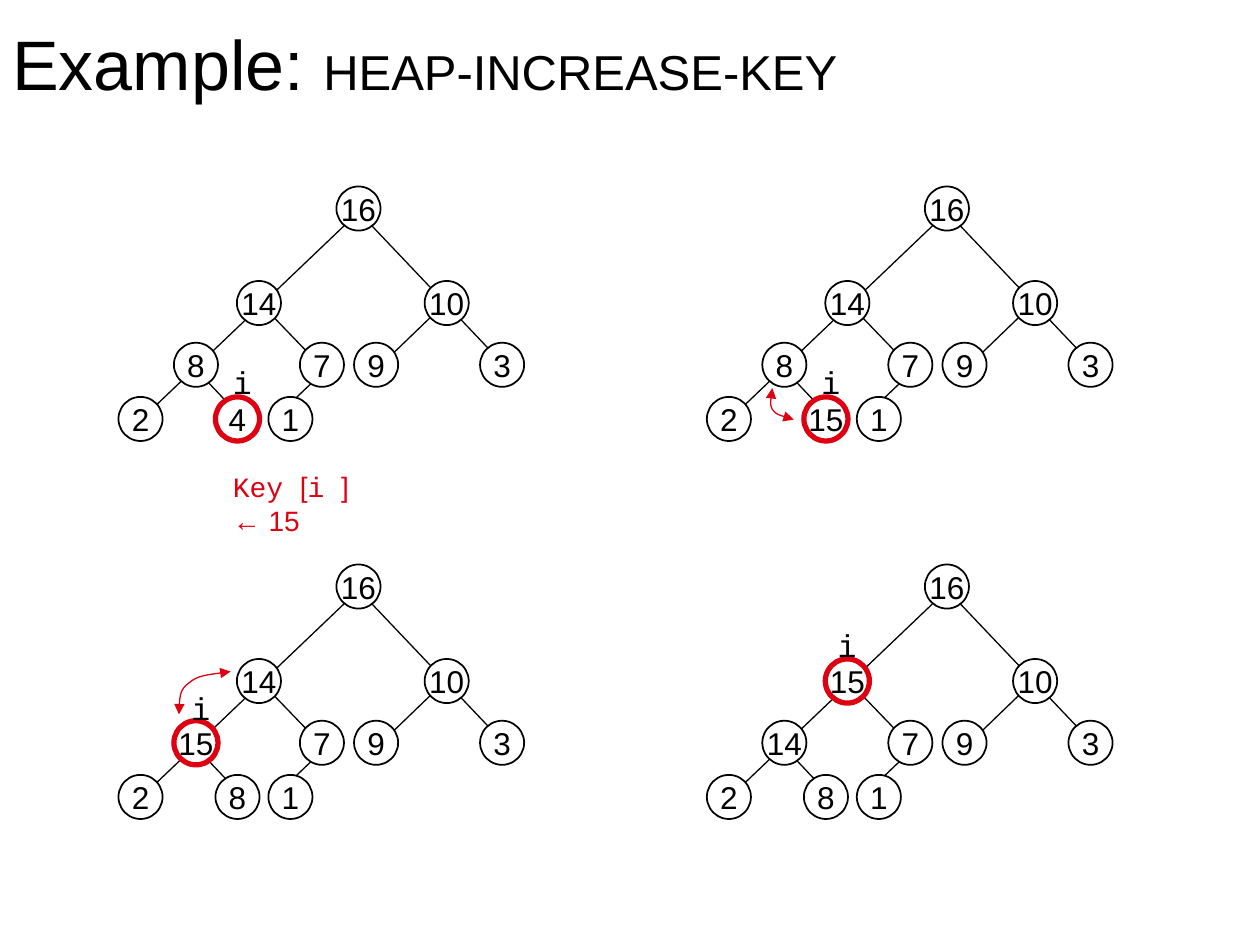
from lxml import etree
from pptx import Presentation
from pptx import util as u
from pptx.dml.color import RGBColor
from pptx.enum import shapes, text
from pptx.oxml.ns import qn

BLACK = RGBColor(0, 0, 0)
WHITE = RGBColor(255, 255, 255)
RED = RGBColor(0xDD, 0x01, 0x11)
SANS, MONO = "Arial", "Courier New"
COLS, ROWS = 100, 75
SIZE = 3.5

SPOTS = [(26.7, 14.8), (18.8, 22.3), (33.7, 22.3), (13.8, 27.2), (23.8, 27.2),
         (28.1, 27.2), (38.1, 27.2), (9.4, 31.5), (17.1, 31.5), (21.3, 31.5)]
EDGES = [(21.8, 33.2, 26.3, 28.9), (29.9, 29.3, 35.5, 23.9),
         (19.7, 33.7, 14.4, 28.1), (25.7, 29.3, 20.3, 23.7),
         (40.7, 29.7, 27.4, 15.7), (11.3, 33.2, 28.8, 16.5)]


class Deck:
    """Draws styled elements on one slide, measured in grid columns and rows."""

    def __init__(self):
        self.prs = Presentation()
        self.prs.slide_width, self.prs.slide_height = u.Inches(10), u.Inches(7.5)
        self.items = self.prs.slides.add_slide(self.prs.slide_layouts[6]).shapes
        self.dx = self.dy = 0

    def shift(self, dx, dy):
        self.dx, self.dy = dx, dy

    def spot(self, x, y):
        return self.span(x + self.dx, y + self.dy)

    def span(self, w, h):
        return (round(self.prs.slide_width * w / COLS),
                round(self.prs.slide_height * h / ROWS))

    def edge(self, x1, y1, x2, y2):
        line = self.items.add_connector(
            shapes.MSO_CONNECTOR.STRAIGHT, *self.spot(x1, y1), *self.spot(x2, y2))
        line.line.color.rgb, line.line.width = BLACK, u.Pt(0.75)
        etree.SubElement(line._element.spPr, qn("a:effectLst"))

    def node(self, x, y, key, hot):
        ring = self.items.add_shape(
            shapes.MSO_SHAPE.OVAL, *self.spot(x, y), *self.span(SIZE, SIZE))
        ring.shadow.inherit = False
        ring.fill.solid()
        ring.fill.fore_color.rgb = WHITE
        ring.line.color.rgb = RED if hot else BLACK
        ring.line.width = u.Pt(3 if hot else 1)
        frame = ring.text_frame
        frame.word_wrap = False
        frame.vertical_anchor = text.MSO_ANCHOR.MIDDLE
        frame.margin_left = frame.margin_right = 0
        para = frame.paragraphs[0]
        para.text = str(key)
        para.alignment = text.PP_ALIGN.CENTER
        para.font.size, para.font.name = u.Pt(18), SANS
        para.font.color.rgb = BLACK

    def label(self, x, y, w, h, parts, color=BLACK, wrap=True,
              anchor=text.MSO_ANCHOR.TOP):
        frame = self.items.add_textbox(*self.spot(x, y), *self.span(w, h)).text_frame
        frame.word_wrap, frame.vertical_anchor = wrap, anchor
        para = frame.paragraphs[0]
        para.font.color.rgb = color
        for words, face, size in parts:
            run = para.add_run()
            run.text = words
            run.font.name, run.font.size = face, u.Pt(size)
            run.font.color.rgb = color

    def swap(self, points):
        start, *rest = [self.spot(x, y) for x, y in points]
        form = self.items.build_freeform(*start)
        form.add_line_segments(rest, close=False)
        arc = form.convert_to_shape()
        arc.shadow.inherit = False
        arc.fill.background()
        arc.line.color.rgb, arc.line.width = RED, u.Pt(0.75)
        steps = list(arc._element.iter(qn("a:lnTo")))
        track = steps[0].getparent()
        for i in range(0, len(steps), 3):
            curve = etree.SubElement(track, qn("a:cubicBezTo"))
            for step in steps[i:i + 3]:
                curve.append(step[0])
                track.remove(step)
        ln = arc.line._get_or_add_ln()
        for end in ("a:headEnd", "a:tailEnd"):
            etree.SubElement(ln, qn(end), type="triangle")

    def heap(self, keys, hot, mark):
        for ends in EDGES:
            self.edge(*ends)
        for i, (place, key) in enumerate(zip(SPOTS, keys)):
            self.node(*place, key, i == hot)
        self.label(*mark, 2.6, 4, [("i", MONO, 18)], wrap=False)


def main():
    deck = Deck()
    deck.label(0, 0, 90, 9.9, [("Example: ", SANS, 40), ("HEAP-INCREASE-KEY", SANS, 28)],
               anchor=text.MSO_ANCHOR.MIDDLE)
    low = [(14.2, 26.7), (14.2, 25.7), (14.3, 24.7), (15, 24.2),
           (15.7, 23.6), (17, 23.5), (18.3, 23.3)]
    high = [(14.6, 30.8), (14.5, 31.5), (14.4, 32.1), (14.6, 32.5),
            (14.9, 32.9), (15.6, 33.1), (16.3, 33.3)]
    steps = [
        ([16, 14, 10, 8, 7, 9, 3, 2, 4, 1], 8, (17.5, 28.3), None),
        ([16, 14, 10, 8, 7, 9, 3, 2, 15, 1], 8, (17.5, 28.3), high),
        ([16, 14, 10, 15, 7, 9, 3, 2, 8, 1], 3, (14.2, 24.2), low),
        ([16, 15, 10, 14, 7, 9, 3, 2, 8, 1], 1, (18.8, 19.2), None),
    ]
    for i, (keys, hot, mark, arc) in enumerate(steps):
        deck.shift(i % 2 * 46.7, i // 2 * 30)
        deck.heap(keys, hot, mark)
        if arc:
            deck.swap(arc)
    deck.shift(0, 0)
    deck.label(17.5, 36.8, 13.8, 3.7, [("Key ", MONO, 16), ("[", SANS, 16),
               ("i ", MONO, 16), ("] ← 15", SANS, 16)], RED)
    deck.prs.save("out.pptx")


if __name__ == "__main__":
    main()
